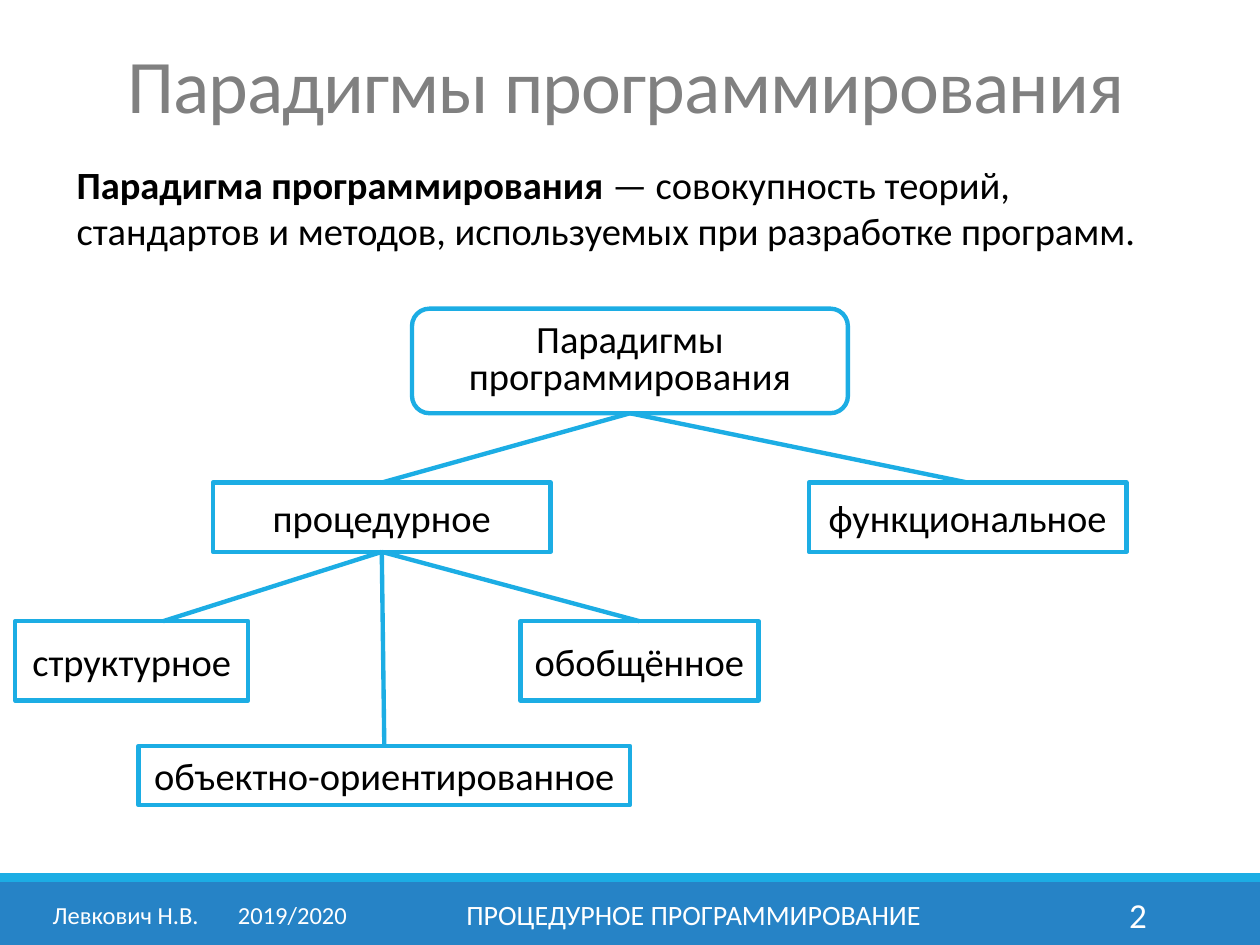
from lxml import etree
from pptx import Presentation
from pptx.dml.color import RGBColor
from pptx.enum.shapes import MSO_CONNECTOR, MSO_SHAPE
from pptx.enum.text import MSO_ANCHOR, PP_ALIGN
from pptx.oxml.ns import qn
from pptx.util import Inches, Pt

BLUE = RGBColor(0x26, 0x83, 0xC6)
CYAN = RGBColor(0x1C, 0xAD, 0xE4)
GRAY = RGBColor(0x80, 0x80, 0x80)
BLACK = RGBColor(0, 0, 0)
WHITE = RGBColor(255, 255, 255)

RECTANGLE = MSO_SHAPE.RECTANGLE
ROUNDED = MSO_SHAPE.ROUNDED_RECTANGLE
STRAIGHT = MSO_CONNECTOR.STRAIGHT
TOP, MIDDLE, BOTTOM = MSO_ANCHOR.TOP, MSO_ANCHOR.MIDDLE, MSO_ANCHOR.BOTTOM
LEFT, CENTER, RIGHT = PP_ALIGN.LEFT, PP_ALIGN.CENTER, PP_ALIGN.RIGHT


class SlideBuilder:
    font_name = "Calibri"
    body_size = 22
    line_width = Pt(2.5)

    def __init__(self, slide):
        self.slide = slide

    def fill_text(self, shape, runs, size, color, align, anchor):
        """Fill a shape with one paragraph; runs are (text, bold) pairs."""
        frame = shape.text_frame
        frame.word_wrap = True
        frame.vertical_anchor = anchor
        paragraph = frame.paragraphs[0]
        paragraph.alignment = align
        for text, bold in runs:
            run = paragraph.add_run()
            run.text = text
            if bold:
                run.font.bold = True
        paragraph.font.name = self.font_name
        paragraph.font.size = Pt(size)
        paragraph.font.color.rgb = color
        return paragraph

    def text(self, area, runs, size, color, align=LEFT, anchor=MIDDLE):
        shape = self.slide.shapes.add_textbox(*map(Inches, area))
        return self.fill_text(shape, runs, size, color, align, anchor)

    def band(self, top, height, color):
        shape = self.slide.shapes.add_shape(
            RECTANGLE, 0, Inches(top), Inches(10), Inches(height))
        shape.shadow.inherit = False
        shape.fill.solid()
        shape.fill.fore_color.rgb = color
        shape.line.fill.background()

    def node(self, text, area, kind=RECTANGLE, line_spacing=None):
        shape = self.slide.shapes.add_shape(kind, *map(Inches, area))
        shape.shadow.inherit = False
        shape.fill.background()
        shape.line.color.rgb = CYAN
        shape.line.width = self.line_width
        paragraph = self.fill_text(
            shape, [(text, False)], self.body_size, BLACK, CENTER, MIDDLE)
        paragraph.line_spacing = line_spacing
        return shape

    def link(self, parent, child, shift=0):
        """Join the parent's bottom centre to the child's top centre."""
        connector = self.slide.shapes.add_connector(
            STRAIGHT,
            parent.left + parent.width // 2, parent.top + parent.height,
            child.left + child.width // 2 + Inches(shift), child.top)
        connector.line.color.rgb = CYAN
        connector.line.width = self.line_width
        etree.SubElement(connector._element.spPr, qn("a:effectLst"))


def add_tab_stop(paragraph, position):
    tabs = etree.Element(qn("a:tabLst"))
    etree.SubElement(tabs, qn("a:tab"), pos=str(Inches(position)), algn="l")
    paragraph._p.pPr.find(qn("a:defRPr")).addprevious(tabs)


def main():
    presentation = Presentation()
    presentation.slide_width = Inches(10)
    presentation.slide_height = Inches(7.5)
    slide = presentation.slides.add_slide(presentation.slide_layouts[6])
    builder = SlideBuilder(slide)

    # Footer bands
    builder.band(7, 0.5, BLUE)
    builder.band(6.93, 0.07, CYAN)

    # Title and definition
    title = builder.text((0.91, 0, 8.25, 1.07), [("Парадигмы программирования", False)],
                         43.2, GRAY, anchor=BOTTOM)
    title.line_spacing = 0.85
    title._p.pPr.find(qn("a:defRPr")).set("spc", "-50")
    definition = builder.text(
        (0.51, 1.23, 8.82, 0.84),
        [("Парадигма программирования", True),
         (" — совокупность теорий, стандартов и методов, "
          "используемых при разработке программ.", False)],
        builder.body_size, BLACK, anchor=TOP)
    definition.space_before = Pt(12)

    # Tree of paradigms
    root = builder.node("Парадигмы программирования", (3.27, 2.45, 3.46, 0.83), ROUNDED, 0.8)
    functional = builder.node("функциональное", (6.42, 3.83, 2.52, 0.55))
    procedural = builder.node("процедурное", (1.69, 3.83, 2.68, 0.55))
    structured = builder.node("структурное", (0.12, 4.93, 1.85, 0.63))
    object_oriented = builder.node("объектно-ориентированное", (1.1, 5.92, 3.9, 0.47))
    generic = builder.node("обобщённое", (4.13, 4.93, 1.89, 0.63))

    builder.link(root, procedural)
    builder.link(root, functional)
    builder.link(procedural, structured, shift=0.25)
    builder.link(procedural, object_oriented)
    builder.link(procedural, generic)

    # Footer text
    author = builder.text((0.32, 7.06, 2.61, 0.4), [("Левкович Н.В.\t2019/2020", False)],
                          14, WHITE)
    add_tab_stop(author, 1.47)
    builder.text((3.02, 7.06, 4.97, 0.4), [("ПРОЦЕДУРНОЕ ПРОГРАММИРОВАНИЕ", False)],
                 16, WHITE, CENTER)
    builder.text((8.12, 7.06, 1.08, 0.4), [("2", False)], 20, WHITE, RIGHT)

    presentation.save("out.pptx")


if __name__ == "__main__":
    main()
